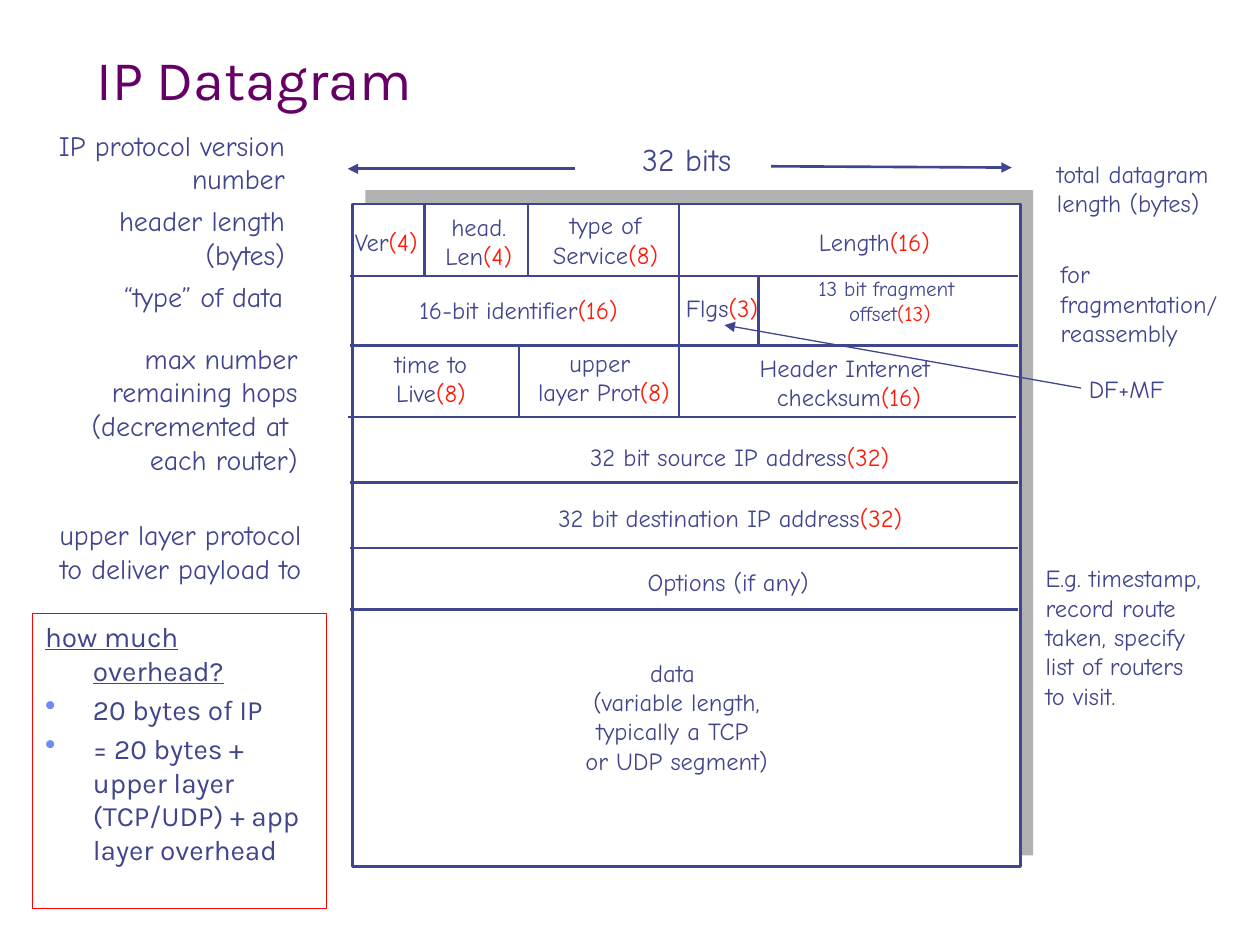
import pptx
import pptx.dml.color
import pptx.enum.shapes
import pptx.enum.text
import pptx.oxml
import pptx.util
from pptx.oxml.ns import qn
from pptx.util import Inches

INK, RED, PURPLE = "40458C", "FD1A09", "660066"
LABEL_FONT, BODY_FONT = "Comic Neue", "Karla"
LEFT = pptx.enum.text.PP_ALIGN.LEFT
CENTER = pptx.enum.text.PP_ALIGN.CENTER
RIGHT = pptx.enum.text.PP_ALIGN.RIGHT


def color(hex_code):
    return pptx.dml.color.RGBColor.from_string(hex_code)


class DatagramSlide:
    def __init__(self, presentation):
        self.slide = presentation.slides.add_slide(presentation.slide_layouts[6])
        self.shapes = self.slide.shapes

    def style(self, run, size, font=LABEL_FONT, ink=INK):
        run.font.size = pptx.util.Pt(size)
        run.font.name = font
        run.font.color.rgb = color(ink)

    def box(self, bounds, fill=None, outline=None, weight=1.5):
        rect = self.shapes.add_shape(
            pptx.enum.shapes.MSO_SHAPE.RECTANGLE, *map(Inches, bounds))
        rect.shadow.inherit = False
        if fill:
            rect.fill.solid()
            rect.fill.fore_color.rgb = color(fill)
        else:
            rect.fill.background()
        if outline:
            rect.line.color.rgb = color(outline)
            rect.line.width = pptx.util.Pt(weight)
        else:
            rect.line.fill.background()
        return rect

    def line(self, start, end, weight=1.5, arrow=False):
        rule = self.shapes.add_connector(
            pptx.enum.shapes.MSO_CONNECTOR.STRAIGHT, *map(Inches, start + end))
        rule.line.color.rgb = color(INK)
        rule.line.width = pptx.util.Pt(weight)
        if arrow:
            head = pptx.oxml.parse_xml(
                '<a:tailEnd xmlns:a="http://schemas.openxmlformats.org/drawingml/2006/main"'
                ' type="triangle"/>')
            rule.line._get_or_add_ln().append(head)
        rule._element.spPr.append(rule._element.spPr.makeelement(qn("a:effectLst"), {}))

    def label(self, text, bounds, size=14, align=CENTER, wrap=False):
        """Add one paragraph per line; the part after "|" is a red bit count."""
        frame = self.shapes.add_textbox(*map(Inches, bounds)).text_frame
        frame.word_wrap = wrap
        frame.auto_size = pptx.enum.text.MSO_AUTO_SIZE.SHAPE_TO_FIT_TEXT
        frame.text = text.replace("|", "")
        for paragraph, content in zip(frame.paragraphs, text.split("\n")):
            name, _, bits = content.partition("|")
            paragraph.alignment = align
            paragraph.runs[0].text = name
            self.style(paragraph.runs[0], size)
            if bits:
                count = paragraph.add_run()
                count.text = bits
                self.style(count, size, ink=RED)

    def title(self, text, bounds):
        frame = self.shapes.add_textbox(*map(Inches, bounds)).text_frame
        frame.word_wrap = True
        frame.vertical_anchor = pptx.enum.text.MSO_ANCHOR.BOTTOM
        frame.text = text
        self.style(frame.paragraphs[0].runs[0], 32, BODY_FONT, PURPLE)

    def bullet(self, paragraph):
        properties = paragraph._p.get_or_add_pPr()
        tint = properties.makeelement(qn("a:buClr"), {})
        tint.append(tint.makeelement(qn("a:srgbClr"), {"val": "6F89F7"}))
        properties.append(tint)
        for tag, settings in (("a:buSzPct", {"val": "110000"}), ("a:buChar", {"char": "•"})):
            properties.append(properties.makeelement(qn(tag), settings))

    def question(self, heading, answers, bounds):
        frame = self.box(bounds, outline="FF0000", weight=0.75).text_frame
        frame.word_wrap = True
        frame.vertical_anchor = pptx.enum.text.MSO_ANCHOR.TOP
        frame.text = "\n".join([heading] + answers)
        for index, paragraph in enumerate(frame.paragraphs):
            paragraph.alignment = LEFT
            paragraph.space_before = pptx.util.Pt(3.2)
            properties = paragraph._p.get_or_add_pPr()
            properties.set("marL", str(Inches(0.38)))
            properties.set("indent", str(Inches(-0.38)))
            self.style(paragraph.runs[0], 16, BODY_FONT)
            if index == 0:
                paragraph.runs[0].font.underline = True
            else:
                self.bullet(paragraph)


WIDE_FIELDS = [
    ("Length|(16)", (6.22, 1.75, 1.44, 0.33)),
    ("16-bit identifier|(16)", (2.67, 2.29, 2.89, 0.33)),
    ("Flgs|(3)", (5.29, 2.28, 0.88, 0.33)),
    ("Header Internet\n checksum|(16)", (5.83, 2.75, 1.75, 0.57)),
    ("32 bit source IP address|(32)", (4.15, 3.46, 3.44, 0.33)),
    ("32 bit destination IP address|(32)", (4, 3.94, 3.59, 0.33)),
    ("Options (if any)", (4.56, 4.45, 2.44, 0.33)),
    ("data \n(variable length,\ntypically a TCP \nor UDP segment)", (4, 5.17, 2.74, 1.03)),
    ("DF+MF", (8.5, 2.92, 0.88, 0.33)),
]
NARROW_FIELDS = [
    ("Ver|(4)", (2.67, 1.75, 0.79, 0.33)),
    ("head.\nLen|(4)", (3.41, 1.63, 0.78, 0.57)),
    ("type of\nService|(8)", (4.23, 1.62, 1.15, 0.57)),
    ("time to\nLive|(8)", (2.99, 2.72, 0.86, 0.57)),
    ("upper\n layer Prot|(8)", (4.05, 2.71, 1.42, 0.57)),
]
LEFT_NOTES = [
    ("IP protocol version\nnumber", (0.2, 0.97, 2.16, 0.64)),
    ("header length\n (bytes)", (0.72, 1.57, 1.64, 0.64)),
    ("“type” of data ", (0.69, 2.17, 1.73, 0.37)),
    ("max number\nremaining hops\n(decremented at \neach router)", (0.47, 2.66, 1.99, 1.17)),
    ("upper layer protocol\nto deliver payload to", (0.17, 4.06, 2.32, 0.64)),
]
RIGHT_NOTES = [
    ("total datagram\nlength (bytes)", (8.29, 1.21, 1.55, 0.57)),
    ("for\nfragmentation/\nreassembly", (8.32, 2.01, 1.6, 0.8)),
    ("E.g. timestamp,\nrecord route\ntaken, specify\nlist of routers\nto visit.",
     (8.2, 4.42, 1.58, 1.26)),
]
TABLE_TOP, TABLE_WIDTH = 1.62, 5.3
ROW_BOTTOMS = [2.19, 2.74, 3.31, 3.83, 4.35, 4.84]
ROW_DIVIDERS = [(3.37, 4.19, 5.39), (5.39, 6.02), (4.12, 5.39)]


def main():
    presentation = pptx.Presentation()
    presentation.slide_width, presentation.slide_height = Inches(10), Inches(7.5)
    page = DatagramSlide(presentation)

    page.box((2.9, 1.51, TABLE_WIDTH, 5.28), fill="B2B2B2")
    page.box((2.8, TABLE_TOP, TABLE_WIDTH, 5.26), fill="FFFFFF", outline=INK)
    for bottom in ROW_BOTTOMS:
        left = 2.76 if bottom == 3.31 else 2.78
        page.line((left, bottom), (left + TABLE_WIDTH, bottom))
    for top, bottom, dividers in zip([TABLE_TOP] + ROW_BOTTOMS, ROW_BOTTOMS, ROW_DIVIDERS):
        for x in dividers:
            page.line((x, bottom), (x, top))

    for text, bounds in WIDE_FIELDS:
        page.label(text, bounds, wrap=True)
    page.label("13 bit fragment\n offset|(13)", (6.08, 2.14, 1.91, 0.5), size=12, wrap=True)
    for text, bounds in NARROW_FIELDS:
        page.label(text, bounds)

    page.title("IP Datagram", (0.67, 0.36, 8.5, 0.58))
    page.label("32 bits", (4.93, 1.06, 1.04, 0.4), size=18)
    page.line((6.12, 1.32), (8.03, 1.33), arrow=True)
    page.line((4.56, 1.34), (2.76, 1.34), arrow=True)

    for text, bounds in LEFT_NOTES:
        page.label(text, bounds, size=16, align=RIGHT)
    for text, bounds in RIGHT_NOTES:
        page.label(text, bounds, align=LEFT)
    page.question(
        "how much overhead?",
        ["20 bytes of IP", "= 20 bytes + upper layer (TCP/UDP) + app layer overhead"],
        (0.26, 4.87, 2.33, 2.34))
    page.line((8.58, 3.08), (5.75, 2.58), weight=0.75, arrow=True)

    presentation.save("out.pptx")


if __name__ == "__main__":
    main()
